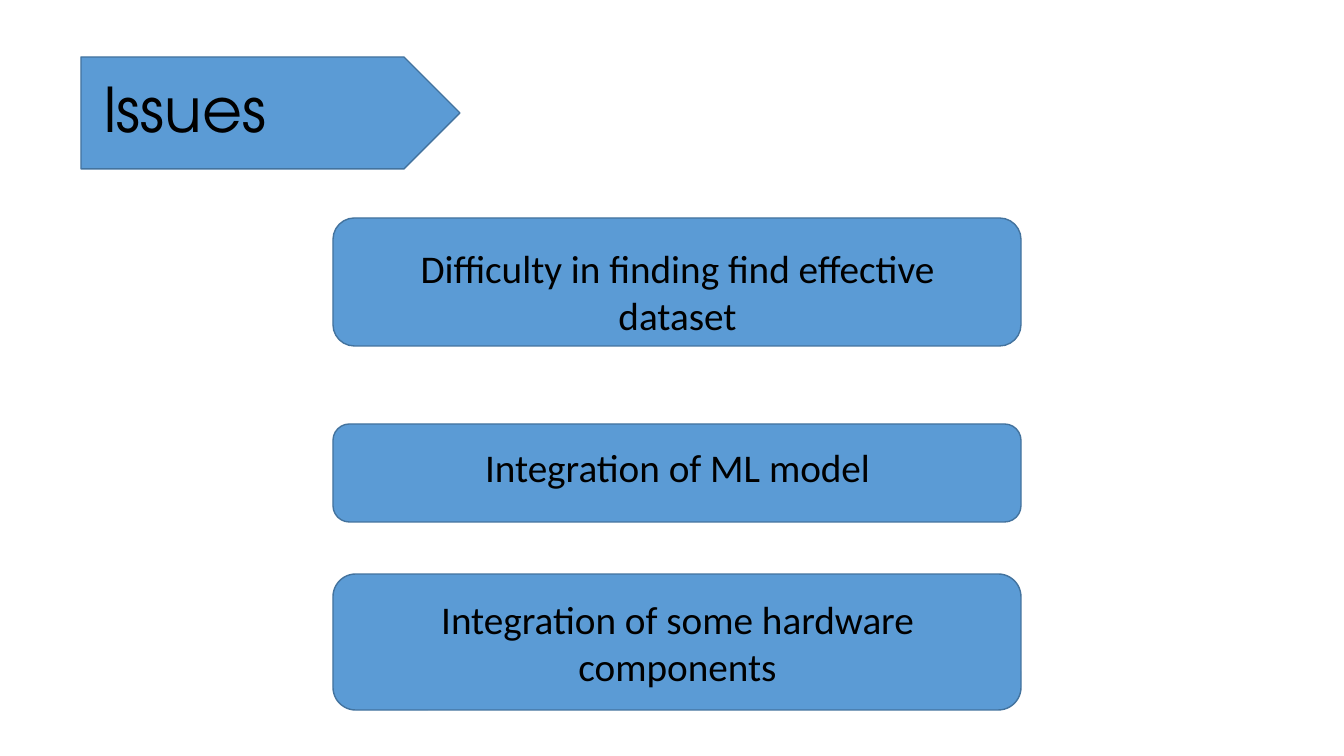
from pptx import Presentation
from pptx.dml.color import RGBColor
from pptx.enum.shapes import MSO_SHAPE
from pptx.enum.text import MSO_ANCHOR, MSO_AUTO_SIZE, PP_ALIGN
from pptx.util import Emu, Pt

EMU_PER_PX = 914400 / 100.8
COLORS = {"fill": "5B9BD5", "outline": "43739E", "text": "000000"}
BOX_LEFT, BOX_WIDTH = 333, 688
TEXT_LEFT, TEXT_WIDTH = 360, 635

# wording, box top, box height, text top, text height
ISSUES = [
    ("Difficulty in finding find effective dataset", 218, 128, 239, 105),
    ("Integration of ML model", 424, 98, 438, 57),
    ("Integration of some hardware components", 574, 136, 590, 105),
]


def px(length):
    return Emu(round(length * EMU_PER_PX))


def color(name):
    return RGBColor.from_string(COLORS[name])


def add_panel(slide, preset, left, top, width, height):
    panel = slide.shapes.add_shape(preset, px(left), px(top), px(width), px(height))
    panel.shadow.inherit = False
    panel.fill.solid()
    panel.fill.fore_color.rgb = color("fill")
    panel.line.color.rgb = color("outline")
    panel.line.width = Pt(1)
    return panel


def write_text(shape, text, font_name, size, alignment):
    shape.text_frame.text = text
    shape.text_frame.word_wrap = True
    paragraph = shape.text_frame.paragraphs[0]
    paragraph.alignment = alignment
    paragraph.font.name = font_name
    paragraph.font.size = Pt(size)
    paragraph.font.color.rgb = color("text")
    return paragraph


def add_title(slide, text):
    """Set the slide title in front of an arrow-shaped banner."""
    banner = add_panel(slide, MSO_SHAPE.PENTAGON, 81, 57, 379, 112)
    title = slide.shapes.title
    banner.element.addnext(title.element)
    title.left, title.top, title.width, title.height = map(px, (93, 40, 241, 146))
    paragraph = write_text(title, text, "TeX Gyre Adventor", 44, PP_ALIGN.LEFT)
    paragraph.line_spacing = 0.9
    title.text_frame.vertical_anchor = MSO_ANCHOR.MIDDLE
    title.text_frame.auto_size = MSO_AUTO_SIZE.NONE


def add_issue(slide, text, box_top, box_height, text_top, text_height):
    add_panel(slide, MSO_SHAPE.ROUNDED_RECTANGLE, BOX_LEFT, box_top, BOX_WIDTH, box_height)
    label = slide.shapes.add_textbox(
        px(TEXT_LEFT), px(text_top), px(TEXT_WIDTH), px(text_height)
    )
    write_text(label, text, "Calibri", 28, PP_ALIGN.CENTER)
    label.text_frame.auto_size = MSO_AUTO_SIZE.SHAPE_TO_FIT_TEXT


def main():
    presentation = Presentation()
    presentation.slide_width, presentation.slide_height = px(1344), px(756)
    slide = presentation.slides.add_slide(presentation.slide_layouts.get_by_name("Title Only"))
    add_title(slide, "Issues")
    for issue in ISSUES:
        add_issue(slide, *issue)
    presentation.save("out.pptx")


if __name__ == "__main__":
    main()
